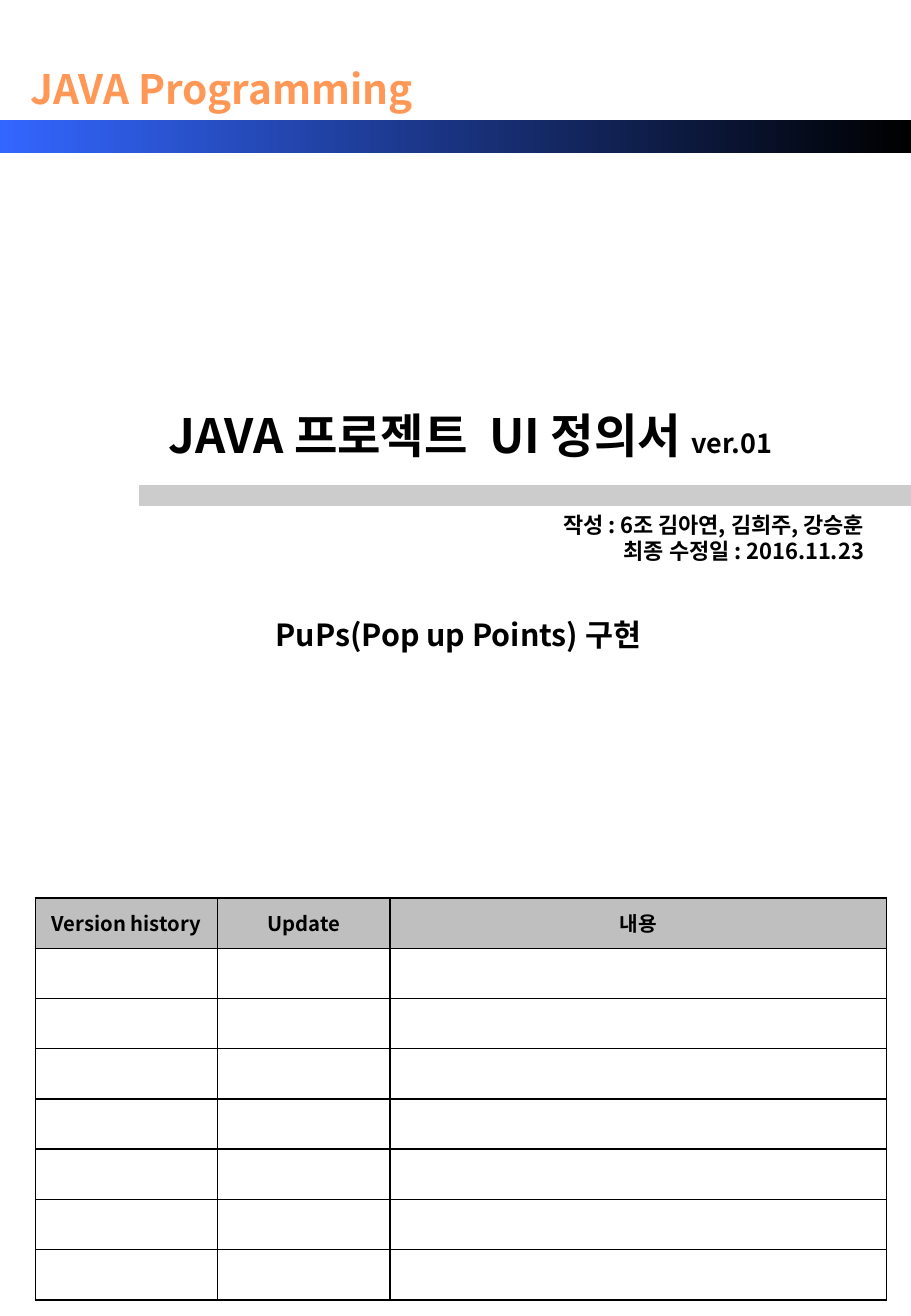
"""Build the cover page of a Java project UI definition document."""
from pptx import Presentation
from pptx.dml.color import RGBColor
from pptx.enum.shapes import MSO_SHAPE as SHAPE
from pptx.enum.text import MSO_ANCHOR as ANCHOR, MSO_AUTO_SIZE as AUTO, PP_ALIGN as ALIGN
from pptx.oxml import parse_xml
from pptx.oxml.ns import nsdecls
from pptx.util import Inches, Pt

THEME = {
    "font": "Noto Sans CJK KR",
    "black": RGBColor(0, 0, 0), "white": RGBColor(255, 255, 255),
    "orange": RGBColor(0xFF, 0x98, 0x56), "blue": RGBColor(0x33, 0x66, 0xFF),
    "rule": RGBColor(0xCC, 0xCC, 0xCC), "header": RGBColor(0xBF, 0xBF, 0xBF),
    "course": 24, "title": 28, "version": 16, "subtitle": 18, "credit": 13, "cell": 12,
}


def write(tf, lines, align, anchor=ANCHOR.TOP, color="black"):
    """Fill a text frame with lines made of (text, size name) runs."""
    tf.vertical_anchor = anchor
    for i, line in enumerate(lines):
        p = tf.add_paragraph() if i else tf.paragraphs[0]
        p.alignment, p.space_before = align, Pt(0)
        for text, size in line:
            r = p.add_run()
            r.text = text
            formats = {"name": THEME["font"], "size": Pt(THEME[size]), "bold": True}
            for name, value in formats.items():
                setattr(r.font, name, value)
            r.font.color.rgb = THEME[color]
            r.font._element.append(parse_xml(
                f'<a:ea {nsdecls("a")} typeface="{THEME["font"]}"/>'))


def place(sp, *box):
    """Set left, top, width and height in inches."""
    for name, value in zip(("left", "top", "width", "height"), box):
        setattr(sp, name, Inches(value))


prs = Presentation()
prs.slide_width, prs.slide_height = Inches(7.5), Inches(10.83)
s = prs.slides.add_slide(prs.slide_layouts[0])

band, rule = [s.shapes.add_shape(SHAPE.RECTANGLE, *map(Inches, box))
              for box in ((0, 0.99, 7.5, 0.27), (1.15, 4, 6.35, 0.16))]
for sp in (band, rule):
    sp.shadow.inherit = False
band.line.fill.background()
band.fill.gradient()
band.fill.gradient_angle = 0
for stop, color, position in zip(band.fill.gradient_stops, ("blue", "black"), (0, 1)):
    stop.color.rgb, stop.position = THEME[color], position
rule.fill.solid()
rule.fill.fore_color.rgb = rule.line.color.rgb = THEME["rule"]
rule.line.width = Pt(0.75)

title, subtitle = s.placeholders
course, credit = [s.shapes.add_textbox(0, 0, 0, 0) for _ in range(2)]
texts = [
    (course, (0.14, 0.48, 3.37, 0.5), [[("JAVA Programming", "course")]],
     ALIGN.CENTER, "orange"),
    (title, (0.33, 3.29, 7.09, 1.26),
     [[("JAVA 프로젝트  UI 정의서 ", "title"), ("ver.01", "version")]], ALIGN.CENTER, "black"),
    (subtitle, (1.15, 5.02, 5.25, 0.87), [[("PuPs(Pop up Points) 구현", "subtitle")]],
     ALIGN.CENTER, "black"),
    (credit, (2.4, 4.16, 4.81, 0.63),
     [[("작성 : 6조 김아연, 김희주, 강승훈", "credit")],
      [("최종 수정일 : 2016.11.23", "credit")]], ALIGN.RIGHT, "black"),
]
for sp, box, lines, align, color in texts:
    place(sp, *box)
    sp.text_frame.word_wrap = sp is not course
    sp.text_frame.auto_size = AUTO.NONE
    write(sp.text_frame, lines, align, color=color)

headings, widths, row_count = ("Version history", "Update", "내용"), (1.5, 1.42, 4.09), 8
table = s.shapes.add_table(row_count, len(headings), Inches(0.29), Inches(7.39),
                           Inches(7.01), Inches(3.31)).table
for column, width in zip(table.columns, widths):
    column.width = Inches(width)
for i, row in enumerate(table.rows):
    for cell, heading in zip(row.cells, headings):
        cell.margin_top = cell.margin_bottom = 0
        if i == 0:
            write(cell.text_frame, [[(heading, "cell")]], ALIGN.CENTER)
            cell.vertical_anchor = ANCHOR.MIDDLE
        tcPr = cell._tc.get_or_add_tcPr()
        for side in ("lnL", "lnR", "lnT", "lnB"):
            tcPr.append(parse_xml(
                f'<a:{side} {nsdecls("a")} w="{Pt(1)}"><a:solidFill>'
                f'<a:srgbClr val="{THEME["black"]}"/></a:solidFill></a:{side}>'))
        cell.fill.solid()
        cell.fill.fore_color.rgb = THEME["white" if i else "header"]

prs.save("out.pptx")
